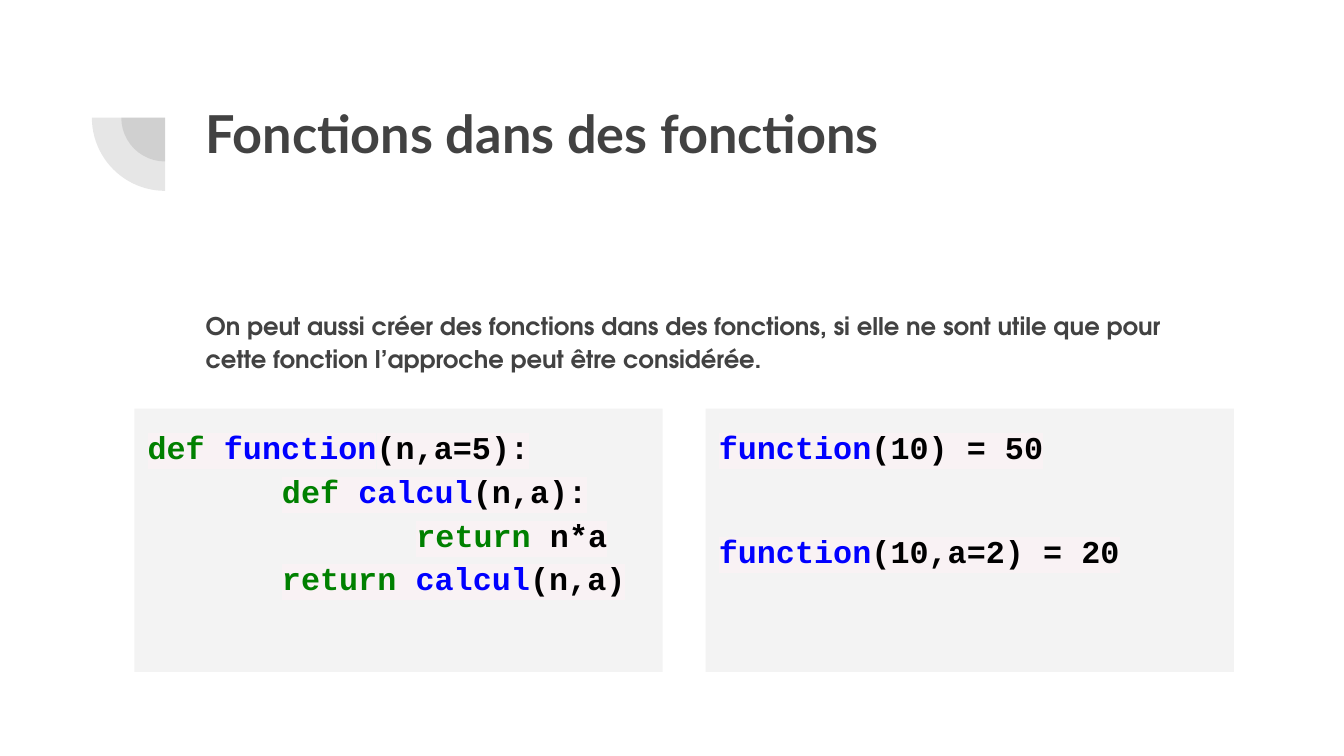
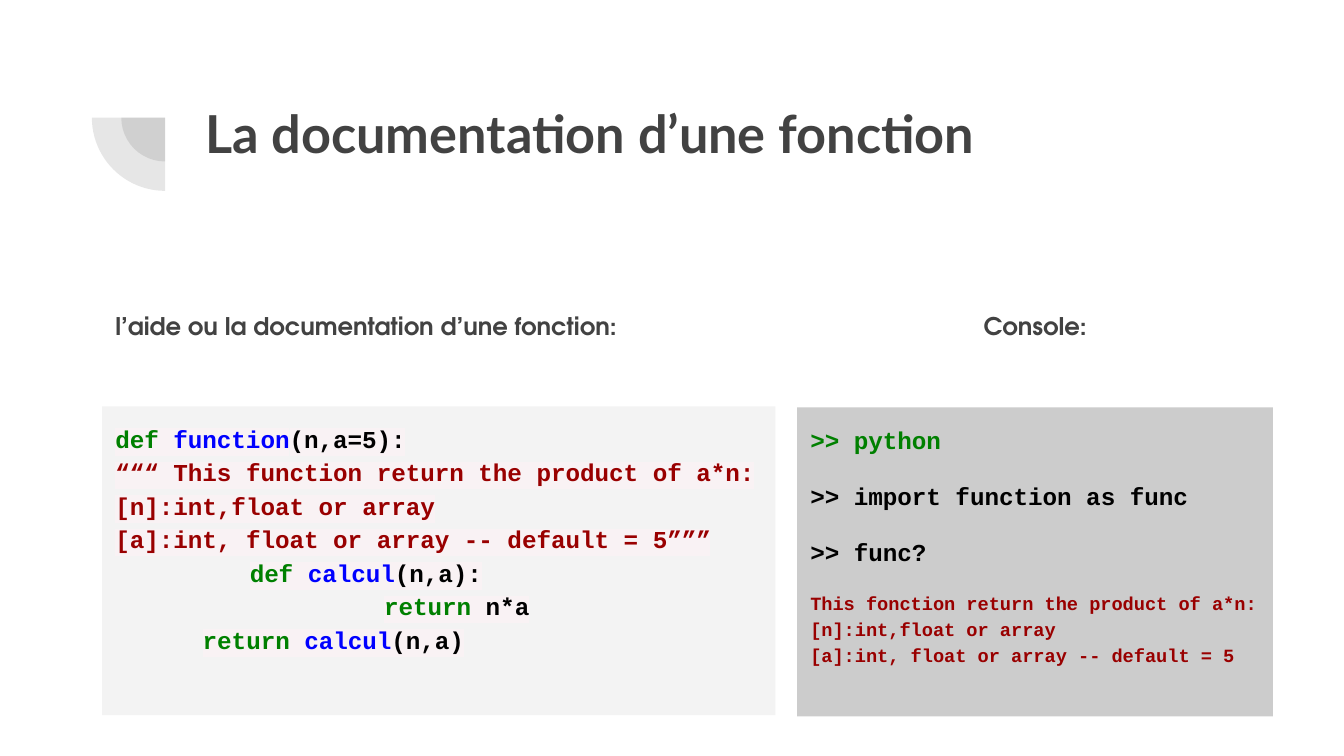
"""Two slides on nested Python functions and on documenting a function."""
import pptx
import pptx.dml.color
import pptx.enum.shapes
import pptx.enum.text
import pptx.util
from lxml import etree

Pt = pptx.util.Pt
RGB = pptx.dml.color.RGBColor.from_string
ALIGN = pptx.enum.text.PP_ALIGN
DRAWING = "{http://schemas.openxmlformats.org/drawingml/2006/main}"

COLOURS = {
    "ink": "424242",
    "keyword": "008000",
    "name": "0000FF",
    "code": "000000",
    "doc": "990000",
    "panel": "F3F3F3",
    "console": "CCCCCC",
    "marker": "F9F2F4",
}
MARGIN = 7.2
TAB = 72


def write(slide, box, lines, size=13, font="TeX Gyre Adventor", spacing=1.15,
          align=ALIGN.LEFT, fill=None, marker=None):
    """Each line is (runs, layout); each run is (text, colour name)."""
    frame = slide.shapes.add_textbox(*[Pt(length) for length in box])
    if fill:
        frame.fill.solid()
        frame.fill.fore_color.rgb = RGB(COLOURS[fill])
    text = frame.text_frame
    text.word_wrap = True
    text.margin_left = text.margin_right = Pt(MARGIN)
    text.margin_top = text.margin_bottom = Pt(MARGIN)
    for number, (runs, layout) in enumerate(lines):
        paragraph = text.add_paragraph() if number else text.paragraphs[0]
        paragraph.alignment = align
        paragraph.line_spacing = spacing
        paragraph.space_before = Pt(layout.get("before", 0))
        paragraph._p.get_or_add_pPr().set("marL", str(Pt(layout.get("indent", 0))))
        for words, colour in runs:
            run = paragraph.add_run()
            run.text = words
            run.font.size = Pt(layout.get("size", size))
            run.font.bold = True
            run.font.name = font
            run.font.color.rgb = RGB(COLOURS[colour])
            if marker:
                highlight = etree.Element(DRAWING + "highlight")
                etree.SubElement(highlight, DRAWING + "srgbClr", val=COLOURS[marker])
                run._r.rPr.find(DRAWING + "solidFill").addnext(highlight)


def start_slide(title):
    slide = deck.slides.add_slide(deck.slide_layouts[6])
    centre_x, centre_y = 88.5, 63
    for radius in (23.5, 39.25):
        quarter = slide.shapes.add_shape(
            pptx.enum.shapes.MSO_SHAPE.PIE, Pt(centre_x - radius),
            Pt(centre_y - radius), Pt(2 * radius), Pt(2 * radius))
        quarter.rotation = 270
        quarter.adjustments[0] = 108
        quarter.adjustments[1] = 162
        quarter.shadow.inherit = False
        quarter.line.fill.background()
        quarter.fill.solid()
        quarter.fill.fore_color.rgb = RGB(COLOURS["ink"])
        tint = quarter.fill._xPr.find(DRAWING + "solidFill")[0]
        etree.SubElement(tint, DRAWING + "alpha", val="13000")
    write(slide, (103, 47, 553.7, 78.5), [([(title, "ink")], {})],
          size=28, font="Lato", spacing=1.0)
    return slide


deck = pptx.Presentation()
deck.slide_width, deck.slide_height = Pt(720), Pt(405)

signature = [("def", "keyword"), (" ", "code"), ("function", "name"), ("(n,a=5):", "code")]
inner_signature = [("def", "keyword"), (" ", "code"), ("calcul", "name"), ("(n,a):", "code")]
inner_return = [("return", "keyword"), (" n*a", "code")]
outer_return = [("return", "keyword"), (" ", "code"), ("calcul", "name"), ("(n,a)", "code")]
inner_function = [(inner_signature, {"indent": TAB}), (inner_return, {"indent": 2 * TAB})]

nested = start_slide("Fonctions dans des fonctions")
advice = ("On peut aussi créer des fonctions dans des fonctions, si elle ne sont utile "
          "que pour cette fonction l’approche peut être considérée.")
write(nested, (103, 157, 553.7, 54.7), [([(advice, "ink")], {})])
definition = [(signature, {}), *inner_function, (outer_return, {"indent": TAB})]
calls = [
    ([("function", "name"), ("(10) = 50", "code")], {}),
    ([("function", "name"), ("(10,a=2) = 20", "code")], {"before": 32}),
]
for left, lines in ((72, definition), (378, calls)):
    write(nested, (left, 219, 283, 141), lines, size=17, font="Courier New",
          fill="panel", marker="marker")

documented = start_slide("La documentation d’une fonction")
help_left, help_width = 54.7, 360.7
console_left, console_width = 427, 255
write(documented, (help_left, 157, help_width, 49.7),
      [([("l’aide ou la documentation d’une fonction:", "ink")], {})])
write(documented, (console_left, 157, console_width, 31),
      [([("Console:", "ink")], {})], align=ALIGN.CENTER)

docstring = [
    "“““ This function return the product of a*n:",
    "[n]:int,float or array",
    "[a]:int, float or array -- default = 5”””",
]
write(documented, (help_left, 217.7, help_width, 165.5),
      [(signature, {}), *[([(line, "doc")], {}) for line in docstring],
       *inner_function, (outer_return, {"indent": 46.8})],
      font="Courier New", fill="panel", marker="marker")

session = [
    ([(">> python", "keyword")], {}),
    ([(">> import function as func", "code")], {"before": 12}),
    ([(">> func?", "code")], {"before": 12}),
    ([("This fonction return the product of a*n:", "doc")], {"before": 12, "size": 10}),
    ([("[n]:int,float or array", "doc")], {"size": 10}),
    ([("[a]:int, float or array -- default = 5", "doc")], {"size": 10}),
]
write(documented, (console_left, 218.3, console_width, 165.5), session,
      font="Courier New", fill="console", marker="console")

deck.save("out.pptx")
